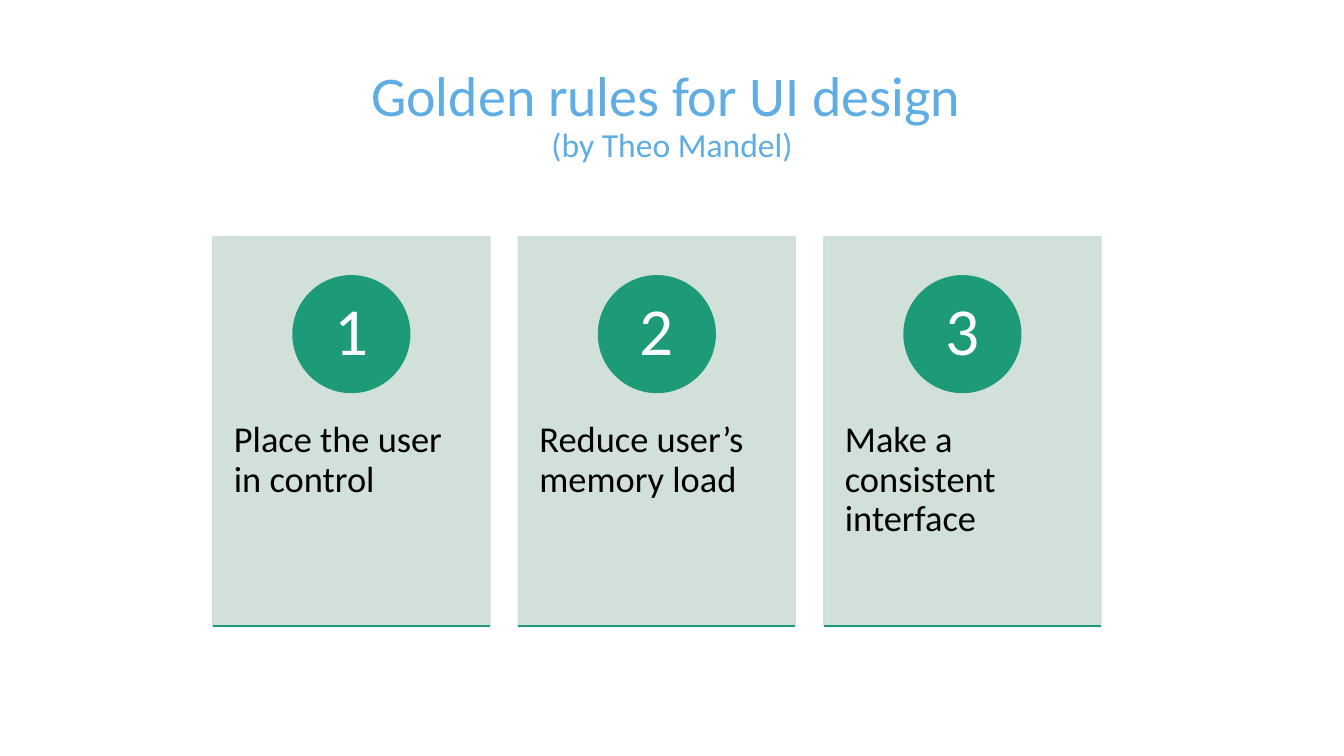
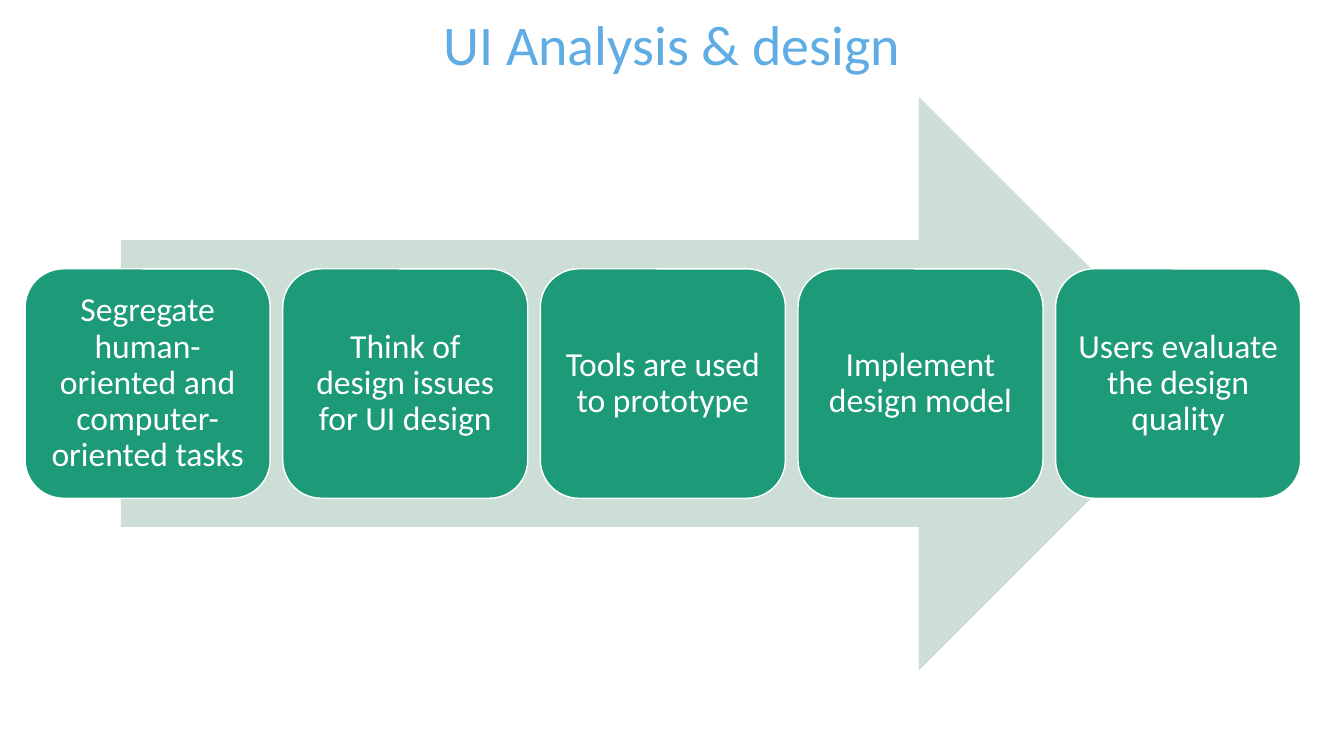
import dataclasses

import pptx
import pptx.dml.color
import pptx.enum.shapes
import pptx.enum.text
import pptx.oxml
import pptx.oxml.ns
import pptx.util

Inches = pptx.util.Inches
SHAPES = pptx.enum.shapes.MSO_SHAPE
ALIGN = pptx.enum.text.PP_ALIGN
ANCHOR = pptx.enum.text.MSO_ANCHOR


@dataclasses.dataclass(frozen=True)
class Theme:
    font: str = "Calibri"
    title_color: str = "5FADE4"
    accent: str = "1D9A78"
    pale: str = "CDDED6"
    dark: str = "000000"
    light: str = "FFFFFF"
    title_size: int = 40
    subtitle_size: int = 24
    card_size: int = 26
    number_size: int = 48
    step_size: int = 24
    line_width: float = 1
    line_spacing: float = 0.9


THEME = Theme()
WIDTH, HEIGHT = 13.33, 7.5
TITLE_HEIGHT = 1.45

RULES = ["Place the user in control", "Reduce user’s memory load", "Make a consistent interface"]
STEPS = [
    "Segregate human-oriented and computer-oriented tasks",
    "Think of design issues for UI design",
    "Tools are used to prototype",
    "Implement design model",
    "Users evaluate the design quality",
]


def rgb(color):
    return pptx.dml.color.RGBColor.from_string(color)


def set_values(target, values):
    for name, value in values.items():
        setattr(target, name, value)


def column_lefts(left, span, width, count):
    """Left edges of equal columns that fill a span with equal gaps."""
    pitch = (span - width) / (count - 1)
    return [left + pitch * index for index in range(count)]


def write_text(shape, lines, color, align=ALIGN.CENTER, anchor=ANCHOR.MIDDLE, insets=(0.1, 0.1)):
    """Write (text, size) lines as one paragraph with line breaks."""
    frame = shape.text_frame
    side, top = (Inches(inset) for inset in insets)
    set_values(frame, {
        "word_wrap": True, "vertical_anchor": anchor,
        "margin_left": side, "margin_right": side,
        "margin_top": top, "margin_bottom": top if anchor == ANCHOR.MIDDLE else 0,
    })
    paragraph = frame.paragraphs[0]
    set_values(paragraph, {"alignment": align, "line_spacing": THEME.line_spacing})
    for index, (text, size) in enumerate(lines):
        if index:
            paragraph.add_line_break()
        run = paragraph.add_run()
        run.text = text
        set_values(run.font, {"name": THEME.font, "size": pptx.util.Pt(size)})
        run.font.color.rgb = rgb(color)


def add_title(slide, lines, left, top, width):
    box = slide.shapes.add_textbox(*map(Inches, (left, top, width, TITLE_HEIGHT)))
    write_text(box, lines, THEME.title_color, anchor=ANCHOR.TOP, insets=(0.1, 0.05))


def add_block(slide, kind, bounds, fill, line=None, opacity=100):
    shape = slide.shapes.add_shape(kind, *map(Inches, bounds))
    shape.shadow.inherit = False
    shape.fill.solid()
    shape.fill.fore_color.rgb = rgb(fill)
    if line:
        shape.line.color.rgb = rgb(line)
        shape.line.width = pptx.util.Pt(THEME.line_width)
    else:
        shape.line.fill.background()
    if opacity < 100:
        for color in shape.element.spPr.iter(pptx.oxml.ns.qn("a:srgbClr")):
            alpha = color.makeelement(pptx.oxml.ns.qn("a:alpha"), {"val": str(opacity * 1000)})
            color.append(alpha)
    return shape


def add_rule_line(slide, left, top, width):
    line = slide.shapes.add_connector(
        pptx.enum.shapes.MSO_CONNECTOR.STRAIGHT, *map(Inches, (left, top, left + width, top)))
    line.line.color.rgb = rgb(THEME.accent)
    line.line.width = pptx.util.Pt(THEME.line_width)
    properties = line.element.spPr
    properties.append(properties.makeelement(pptx.oxml.ns.qn("a:effectLst"), {}))


def add_card(slide, number, text, left, top, width, height):
    card = add_block(slide, SHAPES.RECTANGLE, (left, top, width, height),
                     THEME.pale, THEME.pale, opacity=90)
    write_text(card, [(text, THEME.card_size)], THEME.dark,
               ALIGN.LEFT, ANCHOR.TOP, insets=(0.21, 1.83))
    diameter = height * 0.3
    circle = add_block(
        slide, SHAPES.OVAL,
        (left + (width - diameter) / 2, top + height * 0.1, diameter, diameter),
        THEME.accent, THEME.accent)
    write_text(circle, [(str(number), THEME.number_size)], THEME.light, insets=(0.09, 0.01))
    add_rule_line(slide, left, top + height, width)


def build_rules_slide(slide):
    add_title(slide, [("Golden rules for UI design ", THEME.title_size),
                      ("(by Theo Mandel)", THEME.subtitle_size)], 2.57, 0.63, 8.19)
    card_width = 2.75
    lefts = column_lefts(2.11, 8.81, card_width, len(RULES))
    for number, (left, text) in enumerate(zip(lefts, RULES), start=1):
        add_card(slide, number, text, left, 2.35, card_width, 3.86)


def build_process_slide(slide):
    add_title(slide, [("UI Analysis & design", THEME.title_size)], 0, 0.12, WIDTH)
    arrow_top, arrow_height = 0.96, 5.69
    add_block(slide, SHAPES.RIGHT_ARROW, (1.2, arrow_top, 10.76, arrow_height), THEME.pale)
    step_width, step_height = 2.43, arrow_height * 0.4
    step_top = arrow_top + (arrow_height - step_height) / 2
    for left, text in zip(column_lefts(0.25, 12.65, step_width, len(STEPS)), STEPS):
        step = add_block(slide, SHAPES.ROUNDED_RECTANGLE,
                         (left, step_top, step_width, step_height), THEME.accent, THEME.light)
        write_text(step, [(text, THEME.step_size)], THEME.light)


def main():
    presentation = pptx.Presentation()
    set_values(presentation, {"slide_width": Inches(WIDTH), "slide_height": Inches(HEIGHT)})
    blank = presentation.slide_layouts[6]
    for build in (build_rules_slide, build_process_slide):
        build(presentation.slides.add_slide(blank))
    presentation.save("out.pptx")


if __name__ == "__main__":
    main()
